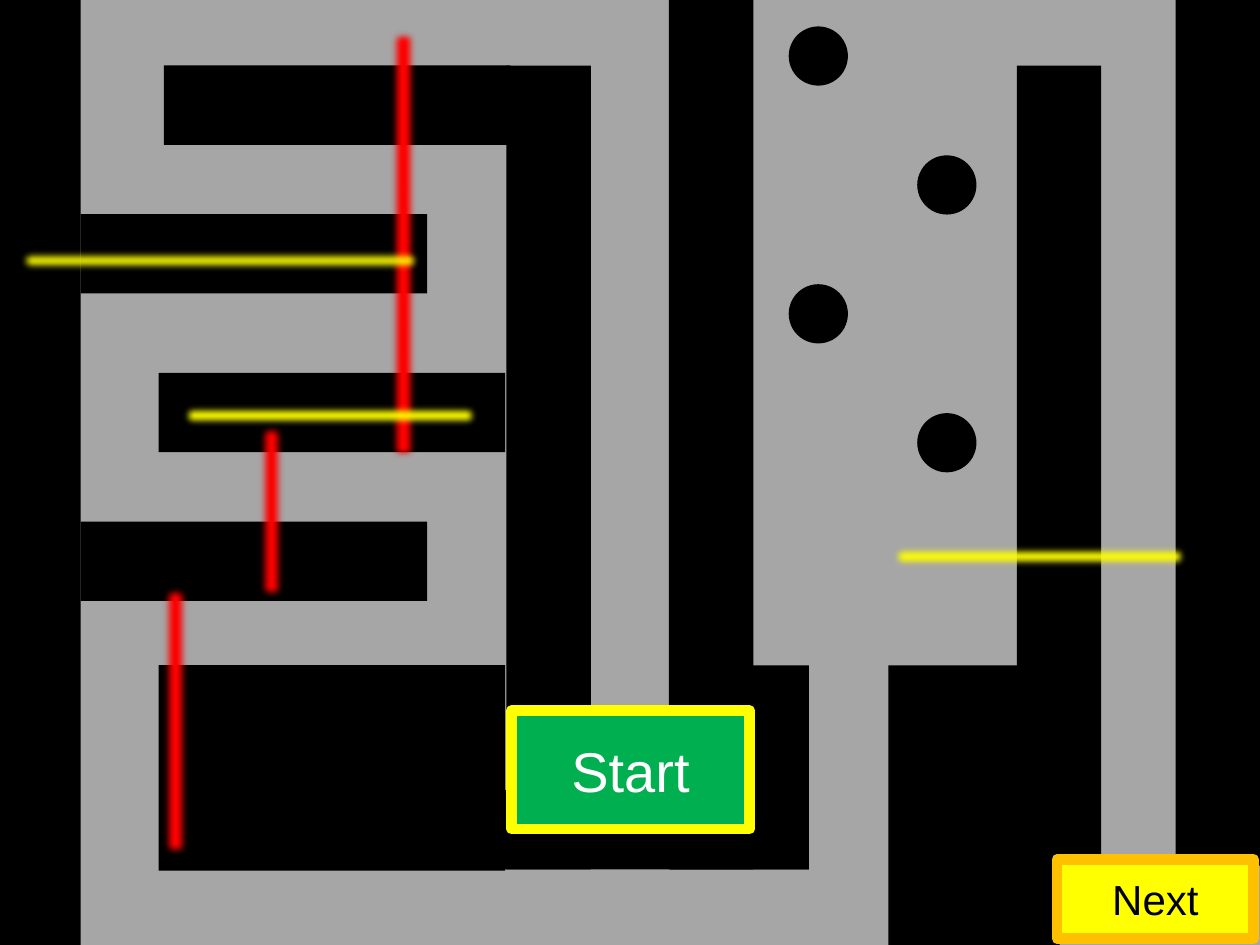
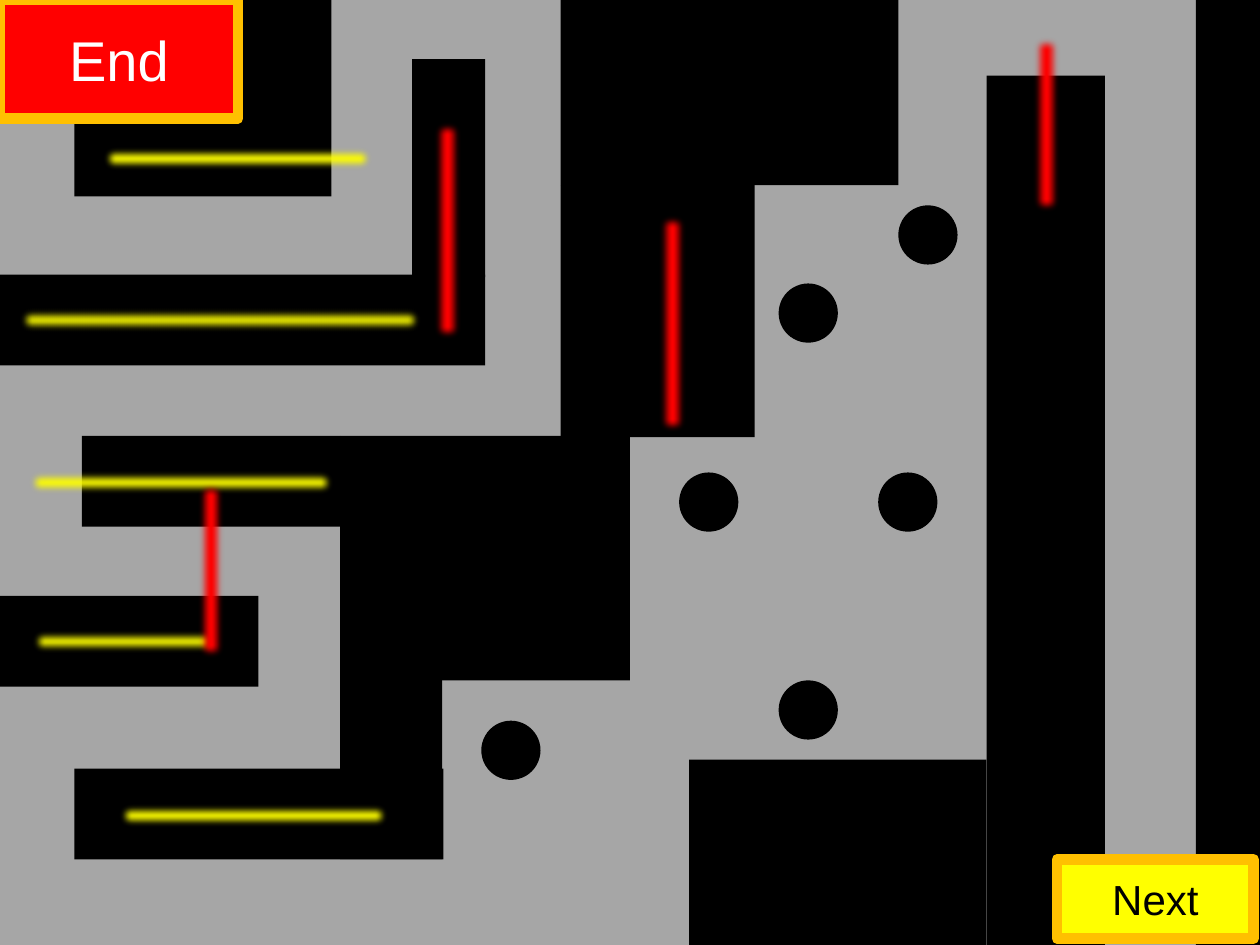
"""Two maze slides: grey floor, black walls, round holes, laser beams and buttons."""
from dataclasses import dataclass

from lxml import etree
from pptx import Presentation
from pptx.dml.color import RGBColor
from pptx.enum.shapes import MSO_SHAPE
from pptx.enum.text import MSO_ANCHOR, PP_ALIGN
from pptx.oxml.ns import qn
from pptx.util import Cm, Pt


@dataclass(frozen=True)
class Theme:
    """Colours, type sizes and part sizes shared by both slides."""
    floor: str = "A6A6A6"
    black: str = "000000"
    white: str = "FFFFFF"
    red: str = "FF0000"
    yellow: str = "FFFF00"
    green: str = "00B050"
    orange: str = "FFC000"
    font: str = "Arial"
    large: int = 32
    small: int = 24
    border: int = 6
    hole: float = 0.47
    beam_high: float = 0.24
    beam_wide: float = 0.27
    soft_edge: int = Pt(5)


@dataclass(frozen=True)
class Box:
    """An area in maze units (one unit is 2.54 cm)."""
    left: float
    top: float
    width: float
    height: float

    def inner(self, left, top, width, height):
        """Return a box placed relative to this one."""
        return Box(self.left + left, self.top + top, width, height)

    def lengths(self):
        """Return the four values as slide lengths."""
        return [Cm(2.54 * v)
                for v in (self.left, self.top, self.width, self.height)]


THEME = Theme()
PAGE = Box(0, 0, 10, 7.5)
LARGE_BUTTON = (1.89, 0.94)
NEXT_BUTTON = ("Next", (8.39, 6.82, 1.56, 0.63), THEME.yellow, THEME.orange,
               THEME.black, THEME.small)


def add_block(slide, box, fill, kind=MSO_SHAPE.RECTANGLE):
    """Add a flat shape without outline or shadow."""
    shape = slide.shapes.add_shape(kind, *box.lengths())
    shape.shadow.inherit = False
    shape.fill.solid()
    shape.fill.fore_color.rgb = RGBColor.from_string(fill)
    shape.line.fill.background()
    return shape


def add_beam(slide, area, left, top, length, color):
    """Add a soft-edged laser: red ones stand, yellow ones lie."""
    size = ((THEME.beam_wide, length) if color == THEME.red
            else (length, THEME.beam_high))
    beam = add_block(slide, area.inner(left, top, *size), color)
    effects = beam._element.spPr.find(qn("a:effectLst"))
    etree.SubElement(effects, qn("a:softEdge"), rad=str(THEME.soft_edge))


def add_button(slide, area, label, place, fill, border, ink, size):
    """Add a bordered button with a centred label."""
    button = add_block(slide, area.inner(*place), fill,
                       MSO_SHAPE.ROUNDED_RECTANGLE)
    button.adjustments[0] = 0
    button.line.color.rgb = RGBColor.from_string(border)
    button.line.width = Pt(THEME.border)
    etree.SubElement(button.line._get_or_add_ln(), qn("a:round"))
    frame = button.text_frame
    frame.word_wrap = True
    frame.vertical_anchor = MSO_ANCHOR.MIDDLE
    paragraph = frame.paragraphs[0]
    paragraph.alignment = PP_ALIGN.CENTER
    run = paragraph.add_run()
    run.text = label
    run.font.name = THEME.font
    run.font.size = Pt(size)
    run.font.color.rgb = RGBColor.from_string(ink)


def add_maze(prs, area, walls, button, beams, holes):
    """Add one maze slide; beams is a list of (colour, places) groups."""
    slide = prs.slides.add_slide(prs.slide_layouts[6])
    add_block(slide, area, THEME.floor)
    for wall in walls:
        add_block(slide, area.inner(*wall), THEME.black)
    for parts in (button, NEXT_BUTTON):
        add_button(slide, area, *parts)
    for color, places in beams:
        for place in places:
            add_beam(slide, area, *place, color)
    for left, top in holes:
        add_block(slide, area.inner(left, top, THEME.hole, THEME.hole),
                  THEME.black, MSO_SHAPE.OVAL)


def add_start_maze(prs, area):
    """Add the slide where the maze starts."""
    shelves = [(left, top, 2.75, 0.63) for left, top in
               ((1.3, 0.52), (0.64, 1.7), (1.26, 2.96), (0.64, 4.14))]
    walls = [
        (4.02, 0.52, 0.67, 6.38), (5.31, 0, 0.67, 6.9), (-0.03, 0, 0.67, 7.5),
        *shelves,
        (1.26, 5.28, 2.75, 1.63), (3.59, 6.27, 2.83, 0.63),
        (5.32, 5.28, 1.1, 1.62), (7.05, 5.28, 1.36, 2.25),
        (9.33, -0.03, 0.67, 6.9), (8.07, 0.52, 0.67, 6.35),
    ]
    button = ("Start", (4.06, 5.64, *LARGE_BUTTON), THEME.green, THEME.yellow,
              THEME.white, THEME.large)
    beams = [
        (THEME.red, [(3.07, 0.21, 3.46), (1.26, 4.62, 2.2),
                     (2.02, 3.34, 1.44)]),
        (THEME.yellow, [(0.12, 1.95, 3.25), (1.42, 3.18, 2.4),
                        (7.05, 4.3, 2.4)]),
    ]
    # Holes zigzag between two columns at an even step.
    holes = [((6.26, 7.28)[i % 2], 0.21 + 1.023 * i) for i in range(4)]
    add_maze(prs, area, walls, button, beams, holes)


def add_end_maze(prs, area):
    """Add the slide where the maze ends."""
    shelves = [(left, top, width, 0.72) for left, top, width in
               ((0.59, 6.1, 2.93), (0, 4.73, 2.05),
                (0.65, 3.46, 2.05), (0, 2.18, 3.85))]
    walls = [
        (9.49, 0, 0.51, 7.5), (7.83, 0.6, 0.94, 6.9),
        (4.45, 0, 2.68, 1.47), (5.47, 6.03, 2.36, 1.47),
        (2.7, 3.46, 2.3, 1.94), (2.7, 5.38, 0.81, 1.44),
        *shelves,
        (4.45, 1.47, 1.54, 2), (0.59, 0, 2.04, 1.56), (3.27, 0.47, 0.58, 1.73),
    ]
    button = ("End", (0, 0, *LARGE_BUTTON), THEME.red, THEME.orange,
              THEME.white, THEME.large)
    beams = [
        (THEME.yellow, [(0.12, 2.42, 3.25), (0.2, 3.71, 2.47),
                        (0.23, 4.97, 1.51), (0.92, 6.35, 2.19),
                        (0.79, 1.14, 2.19)]),
        (THEME.red, [(1.54, 3.81, 1.44), (3.42, 0.94, 1.78),
                     (5.2, 1.68, 1.78), (8.17, 0.27, 1.44)]),
    ]
    holes = [(6.18, 2.25), (7.13, 1.63), (6.18, 5.4),
             (5.39, 3.75), (6.97, 3.75), (3.82, 5.72)]
    add_maze(prs, area, walls, button, beams, holes)


def main():
    """Build and save the deck."""
    prs = Presentation()
    prs.slide_width, prs.slide_height = PAGE.lengths()[2:]
    add_start_maze(prs, PAGE)
    add_end_maze(prs, PAGE)
    prs.save("out.pptx")


main()
